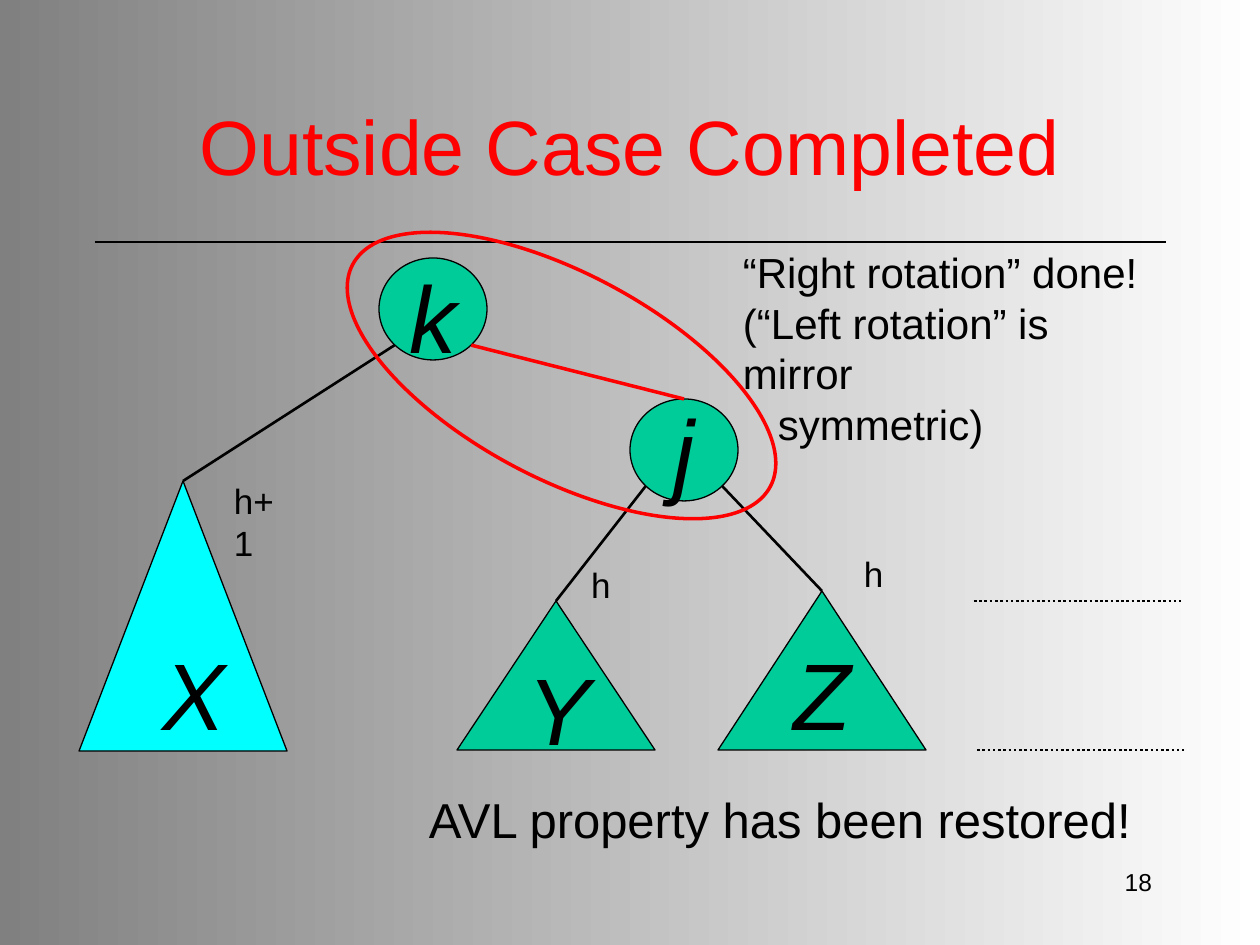
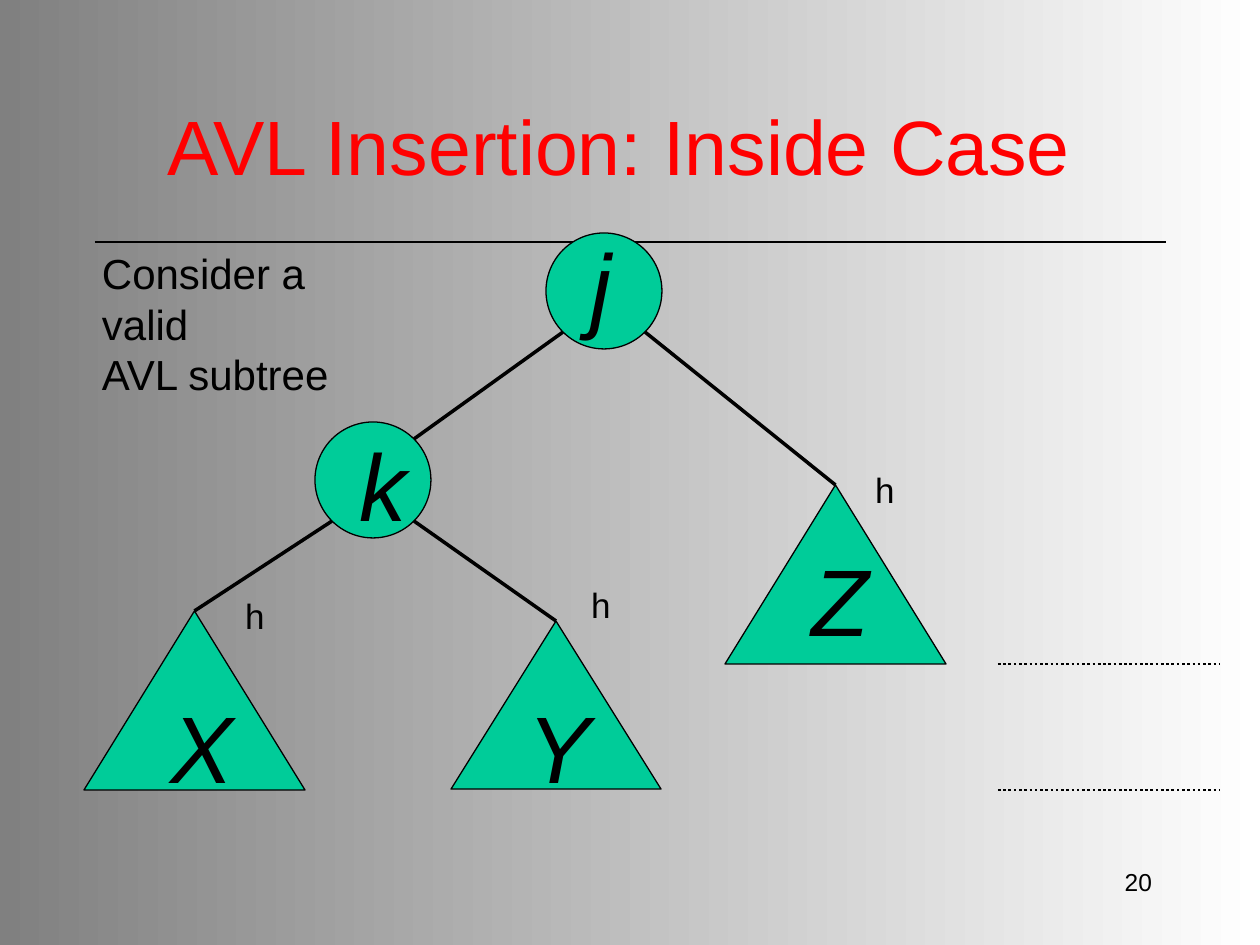
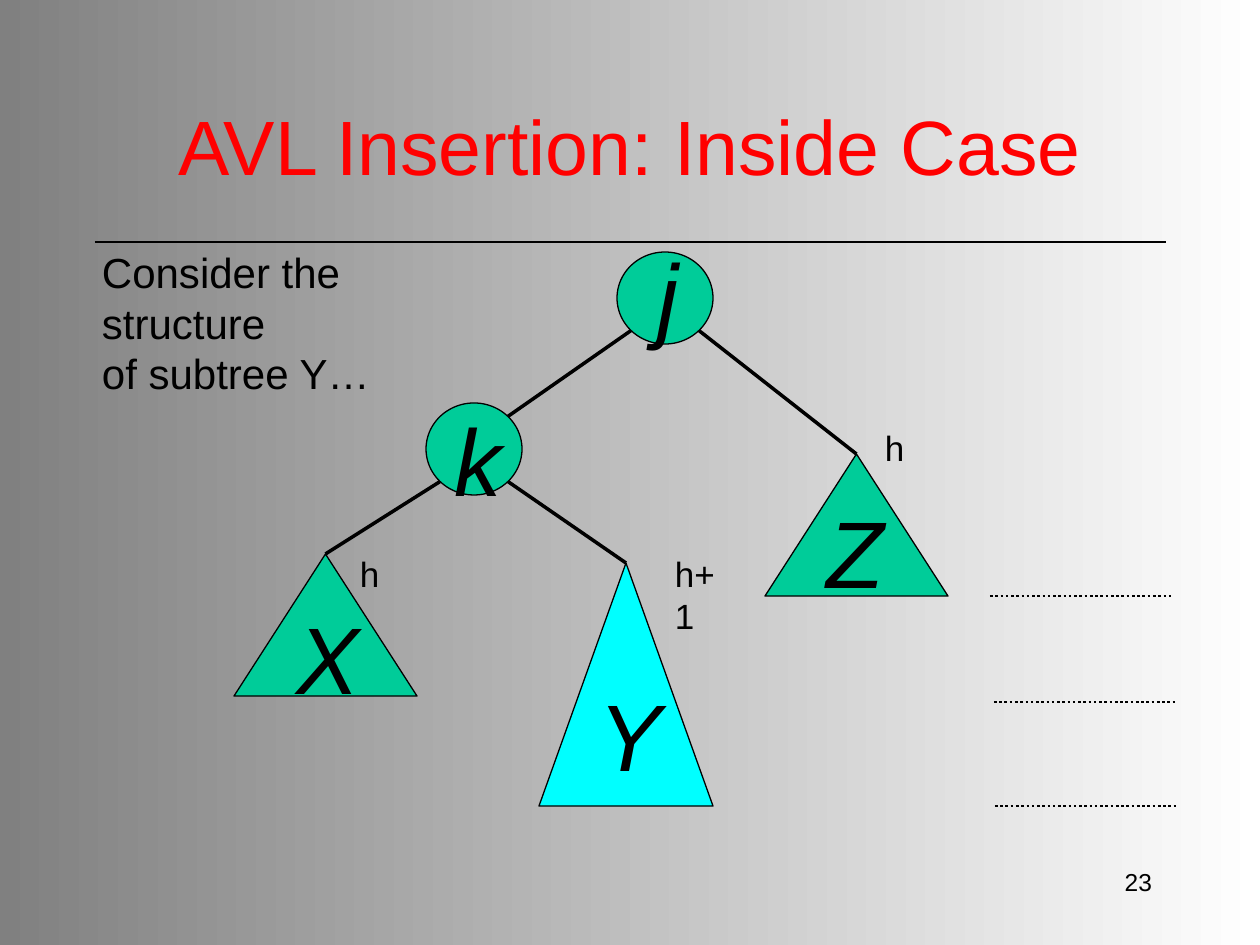
from lxml import etree
from pptx import Presentation
from pptx.dml.color import RGBColor
from pptx.enum.dml import MSO_LINE
from pptx.enum.shapes import MSO_CONNECTOR, MSO_SHAPE
from pptx.enum.text import MSO_ANCHOR, PP_ALIGN
from pptx.oxml.ns import qn
from pptx.util import Emu, Pt

STRAIGHT = MSO_CONNECTOR.STRAIGHT
OVAL, TRIANGLE = MSO_SHAPE.OVAL, MSO_SHAPE.ISOSCELES_TRIANGLE
TOP, MIDDLE = MSO_ANCHOR.TOP, MSO_ANCHOR.MIDDLE
LEFT, CENTER, RIGHT = PP_ALIGN.LEFT, PP_ALIGN.CENTER, PP_ALIGN.RIGHT
DOTTED = MSO_LINE.ROUND_DOT

FONT = "Arial"
COLORS = {"ink": "000000", "red": "FF0000", "green": "00CC99", "cyan": "00FFFF",
          "light": "FFFFFF", "dark": "808080"}
SLIDE_W, SLIDE_H = 1260, 945
TITLE_BOX = (92, 89, 1076, 111)
NUMBER_BOX = (903, 861, 262, 63)
RULE_Y = 242
LETTER_H = 126
LABEL_H = 55
LABEL_W = {"h": 44, "h+1": 84}
DIAGONAL = 0.71


def px(n):
    return Emu(round(n * 914400 / 126))


def rgb(name):
    return RGBColor.from_string(COLORS[name])


def write(tf, text, size=24, color="ink", italic=False, align=LEFT, anchor=TOP,
          wrap=False, top=6, indents=()):
    """Fill a text frame, one paragraph a line; indents gives px by line number."""
    tf.word_wrap = wrap
    tf.vertical_anchor = anchor
    tf.margin_left = tf.margin_right = px(13)
    tf.margin_top, tf.margin_bottom = px(top), px(6)
    indents = dict(indents)
    for i, line in enumerate(text.split("\n")):
        p = tf.paragraphs[0] if i == 0 else tf.add_paragraph()
        p.alignment = align
        if i in indents:
            p._p.get_or_add_pPr().set("marL", str(px(indents[i])))
        r = p.add_run()
        r.text = line
        r.font.name, r.font.size = FONT, Pt(size)
        r.font.italic = italic
        r.font.color.rgb = rgb(color)


def add_text(slide, box, text, **style):
    sp = slide.shapes.add_textbox(*map(px, box))
    write(sp.text_frame, text, **style)


def add_shape(slide, kind, box, fill=None, line="ink", width=0.75):
    sp = slide.shapes.add_shape(kind, *map(px, box))
    sp.shadow.inherit = False
    if fill:
        sp.fill.solid()
        sp.fill.fore_color.rgb = rgb(fill)
    else:
        sp.fill.background()
    sp.line.color.rgb = rgb(line)
    sp.line.width = Pt(width)
    return sp


def add_line(slide, start, end, color="ink", width=2.0, dash=None):
    cxn = slide.shapes.add_connector(STRAIGHT, *map(px, (*start, *end)))
    cxn.line.color.rgb = rgb(color)
    cxn.line.width = Pt(width)
    if dash:
        cxn.line.dash_style = dash
    etree.SubElement(cxn._element.spPr, qn("a:effectLst"))


def diagonal(box, dx, dy):
    """Point on the ellipse in box, towards the corner given by the signs."""
    x, y, w, h = box
    return x + w / 2 * (1 + dx * DIAGONAL), y + h / 2 * (1 + dy * DIAGONAL)


def apex(box):
    x, y, w, _ = box
    return x + w / 2, y


def add_letter(slide, box, letter, offset, width):
    dx, dy = offset
    add_text(slide, (box[0] + dx, box[1] + dy, width, LETTER_H), letter,
             size=54, italic=True, wrap=True, top=15)


def add_node(slide, box, letter, offset=None, width=67):
    """Round tree node; without an offset the letter is centred inside."""
    sp = add_shape(slide, OVAL, box, "green")
    if offset:
        add_letter(slide, box, letter, offset, width)
    else:
        write(sp.text_frame, letter, size=54, italic=True, align=CENTER, anchor=MIDDLE)


def add_subtree(slide, box, letter, offset, height, label_offset, width=67):
    """Triangle with its letter and its height label; taller ones are cyan."""
    add_shape(slide, TRIANGLE, box, "green" if height == "h" else "cyan")
    add_letter(slide, box, letter, offset, width)
    dx, dy = label_offset
    add_text(slide, (box[0] + dx, box[1] + dy, LABEL_W[height], LABEL_H), height, size=20)


def add_levels(slide, starts, length):
    for x, y in starts:
        add_line(slide, (x, y), (x + length, y), width=1.5, dash=DOTTED)


def add_base(prs, title, number):
    slide = prs.slides.add_slide(prs.slide_layouts[5])
    add_line(slide, (95, RULE_Y), (1166, RULE_Y), width=0.75)
    sp = slide.shapes.title
    sp.left, sp.top, sp.width, sp.height = map(px, TITLE_BOX)
    write(sp.text_frame, title, size=44, color="red", align=CENTER, anchor=MIDDLE, wrap=True)
    add_text(slide, NUMBER_BOX, number, size=14, align=RIGHT, wrap=True)
    return slide


def add_rotated_slide(prs):
    slide = add_base(prs, "Outside Case Completed", "18")
    k, j = (379, 258, 108, 102), (630, 399, 108, 102)
    x, y, z = (79, 481, 208, 270), (457, 601, 198, 149), (718, 591, 208, 159)
    add_node(slide, j, "j")
    add_node(slide, k, "k", (18, -14))
    add_subtree(slide, x, "X", (70, 140), "h+1", (142, -8))
    add_subtree(slide, y, "Y", (57, 35), "h", (121, -44))
    add_subtree(slide, z, "Z", (63, 30), "h", (133, -45))
    for parent, side, child in ((k, -1, x), (j, -1, y), (j, 1, z)):
        add_line(slide, diagonal(parent, side, 1), apex(child), width=1.5)
    add_levels(slide, [(974, 601), (977, 750)], 207)
    add_text(slide, (730, 241, 452, 164),
             "“Right rotation” done!\n(“Left rotation” is mirror\nsymmetric)",
             indents={2: 35})
    add_text(slide, (416, 784, 732, 72), "AVL property has been restored!", size=28)
    add_line(slide, diagonal(k, 1, 1), apex(j), color="red")
    ring = add_shape(slide, OVAL, (325, 273, 473, 205), line="red", width=2)
    ring.rotation = 28


def add_inside_slide(prs, title, number, note, note_box, nodes, subtrees, letter_w,
                     levels, level_w):
    """Tree with root j, its left child k, and subtrees X, Y and Z."""
    slide = add_base(prs, title, number)
    add_text(slide, note_box, note)
    for letter, (box, offset) in nodes.items():
        add_node(slide, box, letter, offset, letter_w)
    for letter, (box, *labels) in subtrees.items():
        add_subtree(slide, box, letter, *labels, width=letter_w)
    j, k = nodes["j"][0], nodes["k"][0]
    add_line(slide, diagonal(j, -1, 1), diagonal(k, 1, -1))
    for parent, side, child in ((k, -1, "X"), (k, 1, "Y"), (j, 1, "Z")):
        add_line(slide, diagonal(parent, side, 1), apex(subtrees[child][0]))
    add_levels(slide, levels, level_w)


def set_background(prs):
    fill = prs.slide_master.background.fill
    fill.gradient()
    fill.gradient_angle = 180
    for stop, name, position in zip(fill.gradient_stops, ("light", "dark"), (0, 1)):
        stop.color.rgb = rgb(name)
        stop.position = position


def main():
    prs = Presentation()
    prs.slide_width, prs.slide_height = px(SLIDE_W), px(SLIDE_H)
    set_background(prs)
    add_rotated_slide(prs)
    add_inside_slide(
        prs, "AVL Insertion: Inside Case ", "20",
        "Consider a valid\nAVL subtree", (89, 242, 326, 113),
        nodes={"j": ((546, 233, 116, 116), (31, -21)),
               "k": ((315, 422, 116, 116), (32, -10))},
        subtrees={"X": ((84, 611, 221, 179), (74, 63), "h", (148, -23)),
                  "Y": ((451, 621, 210, 168), (63, 53), "h", (127, -44)),
                  "Z": ((725, 485, 221, 179), (73, 42), "h", (137, -23))},
        letter_w=71, levels=[(998, 664), (998, 790)], level_w=221)
    add_inside_slide(
        prs, "AVL Insertion: Inside Case", "23",
        "Consider the structure\nof subtree Y…", (89, 241, 438, 113),
        nodes={"j": ((617, 252, 96, 92), (28, -30)),
               "k": ((426, 403, 96, 92), (16, -16))},
        subtrees={"X": ((234, 554, 183, 142), (50, 31), "h", (113, -8)),
                  "Y": ((539, 563, 174, 243), (47, 99), "h+1", (123, -17)),
                  "Z": ((765, 454, 183, 142), (49, 25), "h", (107, -34))},
        letter_w=58, levels=[(990, 596), (994, 702), (995, 806)], level_w=183)
    prs.save("out.pptx")


if __name__ == "__main__":
    main()
